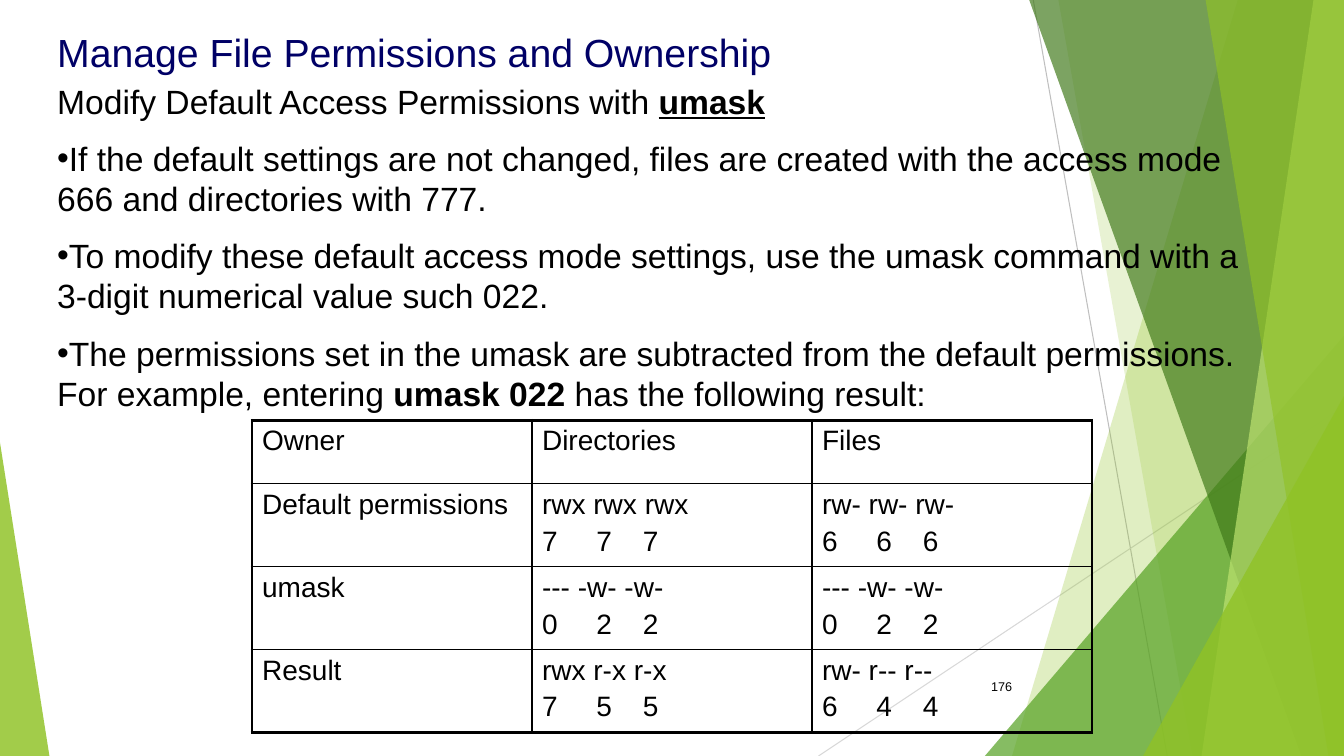
from lxml import etree
from pptx import Presentation
from pptx.dml.color import RGBColor
from pptx.enum.shapes import MSO_CONNECTOR, MSO_SHAPE
from pptx.enum.text import MSO_ANCHOR, PP_ALIGN
from pptx.oxml.ns import qn
from pptx.util import Inches, Pt

STRAIGHT = MSO_CONNECTOR.STRAIGHT
TRIANGLE = MSO_SHAPE.ISOSCELES_TRIANGLE
TOP, MIDDLE = MSO_ANCHOR.TOP, MSO_ANCHOR.MIDDLE
LEFT, RIGHT = PP_ALIGN.LEFT, PP_ALIGN.RIGHT

BLACK, NAVY = "000000", "000066"
LIME, GREEN, FOREST, PALE = "90C226", "54A021", "3F7818", "BFE471"
THIN, THICK = 1, 2.25


def color(hex_text):
    return RGBColor.from_string(hex_text)


class SlideBuilder:
    """Draws on one slide; positions and sizes are percent of the slide."""

    font_name = "Arial"

    def __init__(self, deck):
        self.width, self.height = deck.slide_width, deck.slide_height
        self.page = deck.slides.add_slide(deck.slide_layouts[6])
        self.shapes = self.page.shapes

    def across(self, share):
        return round(self.width * share / 100)

    def down(self, share):
        return round(self.height * share / 100)

    def frame(self, left, top, width, height):
        return self.across(left), self.down(top), self.across(width), self.down(height)

    def line(self, start, end, line_color):
        rule = self.shapes.add_connector(
            STRAIGHT, self.across(start[0]), self.down(start[1]),
            self.across(end[0]), self.down(end[1]))
        rule.line.color.rgb = color(line_color)
        rule.line.width = Pt(0.75)
        etree.SubElement(rule._element.spPr, qn("a:effectLst"))

    def paint(self, shape, fill_color, opacity):
        shape.shadow.inherit = False
        shape.line.fill.background()
        shape.fill.solid()
        shape.fill.fore_color.rgb = color(fill_color)
        tint = shape._element.spPr.find(qn("a:solidFill"))[0]
        etree.SubElement(tint, qn("a:alpha"), val=str(opacity * 1000))

    def ribbon(self, top_x, bottom_x, fill_color, opacity):
        """Band from a slanted left edge to the right side of the slide."""
        corners = [(100, 0), (100, 100), (bottom_x, 100)]
        outline = self.shapes.build_freeform(self.across(top_x), 0)
        outline.add_line_segments(
            [(self.across(x), self.down(y)) for x, y in corners], close=True)
        self.paint(outline.convert_to_shape(), fill_color, opacity)

    def triangle(self, left, top, width, apex, fill_color, opacity):
        """Triangle that stands on the bottom of the slide."""
        shape = self.shapes.add_shape(
            TRIANGLE, *self.frame(left, top, width, 100 - top))
        shape.adjustments[0] = apex
        self.paint(shape, fill_color, opacity)

    def paragraph(self, para, spans, size, text_color=BLACK, before=0,
                  bullet=False, tabs=(), align=LEFT):
        para.alignment = align
        para.space_before = Pt(before)
        properties = para._p.get_or_add_pPr()
        if bullet:
            tint = etree.SubElement(properties, qn("a:buClr"))
            etree.SubElement(tint, qn("a:srgbClr"), val=BLACK)
            etree.SubElement(properties, qn("a:buFont"), typeface=self.font_name)
            etree.SubElement(properties, qn("a:buChar"), char="•")
        if tabs:
            stops = etree.SubElement(properties, qn("a:tabLst"))
            for stop in tabs:
                etree.SubElement(stops, qn("a:tab"), pos=str(Inches(stop)), algn="l")
        para.font.name, para.font.size = self.font_name, Pt(size)
        para.font.color.rgb = color(text_color)
        for text, *marks in spans:
            span = para.add_run()
            span.text = text
            if "bold" in marks:
                span.font.bold = True
            if "underline" in marks:
                span.font.underline = True

    def text(self, area, paragraphs, size, anchor=TOP, **style):
        box = self.shapes.add_textbox(*self.frame(*area)).text_frame
        box.word_wrap = True
        box.vertical_anchor = anchor
        for index, (spans, extra) in enumerate(paragraphs):
            para = box.add_paragraph() if index else box.paragraphs[0]
            self.paragraph(para, spans, size, **style, **extra)

    def borders(self, cell, widths):
        properties = cell._tc.get_or_add_tcPr()
        for side, width in zip("LRTB", widths):
            edge = etree.SubElement(properties, qn(f"a:ln{side}"), w=str(Pt(width)))
            tint = etree.SubElement(edge, qn("a:solidFill"))
            etree.SubElement(tint, qn("a:srgbClr"), val=BLACK)

    def table(self, left, top, width, row_heights, rows, size, tabs):
        row_count, column_count = len(rows), len(rows[0])
        grid = self.shapes.add_table(
            row_count, column_count,
            *self.frame(left, top, width, sum(row_heights))).table
        grid.first_row = grid.horz_banding = False
        for row, height in zip(grid.rows, row_heights):
            row.height = self.down(height)
        for r, row in enumerate(rows):
            for c, lines in enumerate(row):
                cell = grid.cell(r, c)
                on_edge = (c == 0, c == column_count - 1, r == 0, r == row_count - 1)
                self.borders(cell, [THICK if edge else THIN for edge in on_edge])
                cell.fill.background()
                for index, line in enumerate(lines):
                    para = (cell.text_frame.add_paragraph() if index
                            else cell.text_frame.paragraphs[0])
                    self.paragraph(para, [(line,)], size,
                                   before=4 if index else 0,
                                   tabs=tabs if index else ())


def mode(letters, digits):
    """Cell lines: permission letters above their tabbed digits."""
    return [letters, "\t".join(digits)]


def main():
    deck = Presentation()
    deck.slide_width, deck.slide_height = Inches(13.33), Inches(7.5)
    slide = SlideBuilder(deck)

    # Green backdrop
    slide.line((76.88, 0), (86.85, 100), "BFBFBF")
    slide.line((100, 53.73), (60.9, 100), "D8D8D8")
    slide.ribbon(92.1, 75.3, LIME, 28)
    slide.ribbon(78.75, 88.73, LIME, 20)
    slide.triangle(73.28, 44.4, 26.72, 1, GREEN, 70)
    slide.ribbon(76.58, 96.83, FOREST, 68)
    slide.ribbon(97.73, 89.4, PALE, 68)
    slide.ribbon(89.7, 98.85, LIME, 63)
    slide.triangle(85.05, 52.4, 14.95, 1, LIME, 80)
    slide.triangle(0, 58.53, 3.68, 0, LIME, 83)

    # Slide number
    slide.text((70.43, 88.13, 5.62, 5.33), [([("176",)], {})], 9,
               anchor=MIDDLE, align=RIGHT)

    # Explanation
    point = {"before": 12, "bullet": True}
    slide.text((3.52, 10, 91.8, 63.33), [
        ([("Modify Default Access Permissions with ",),
          ("umask", "bold", "underline")], {}),
        ([("If the default settings are not changed, files are created with "
           "the access mode 666 and directories with 777.",)], point),
        ([("To modify these default access mode settings, use the umask "
           "command with a 3-digit numerical value such 022.",)], point),
        ([("The permissions set in the umask are subtracted from the default "
           "permissions.",)], point),
        ([("For example, entering ",), ("umask 022 ", "bold"),
          ("has the following result:",)], {}),
    ], 24)

    # Permission table
    slide.table(18.75, 55.6, 62.5, [8.4, 10.8, 10.8, 10.8], [
        [["Owner"], ["Directories"], ["Files"]],
        [["Default permissions"], mode("rwx rwx rwx", "777"), mode("rw- rw- rw-", "666")],
        [["umask"], mode("--- -w- -w-", "022"), mode("--- -w- -w-", "022")],
        [["Result"], mode("rwx r-x r-x", "755"), mode("rw- r-- r--", "644")],
    ], 20, tabs=(0.54, 1))

    # Title
    slide.text((3.52, 3.07, 72.52, 7.73),
               [([("Manage File Permissions and Ownership",)], {})], 28,
               text_color=NAVY)

    deck.save("out.pptx")


if __name__ == "__main__":
    main()
